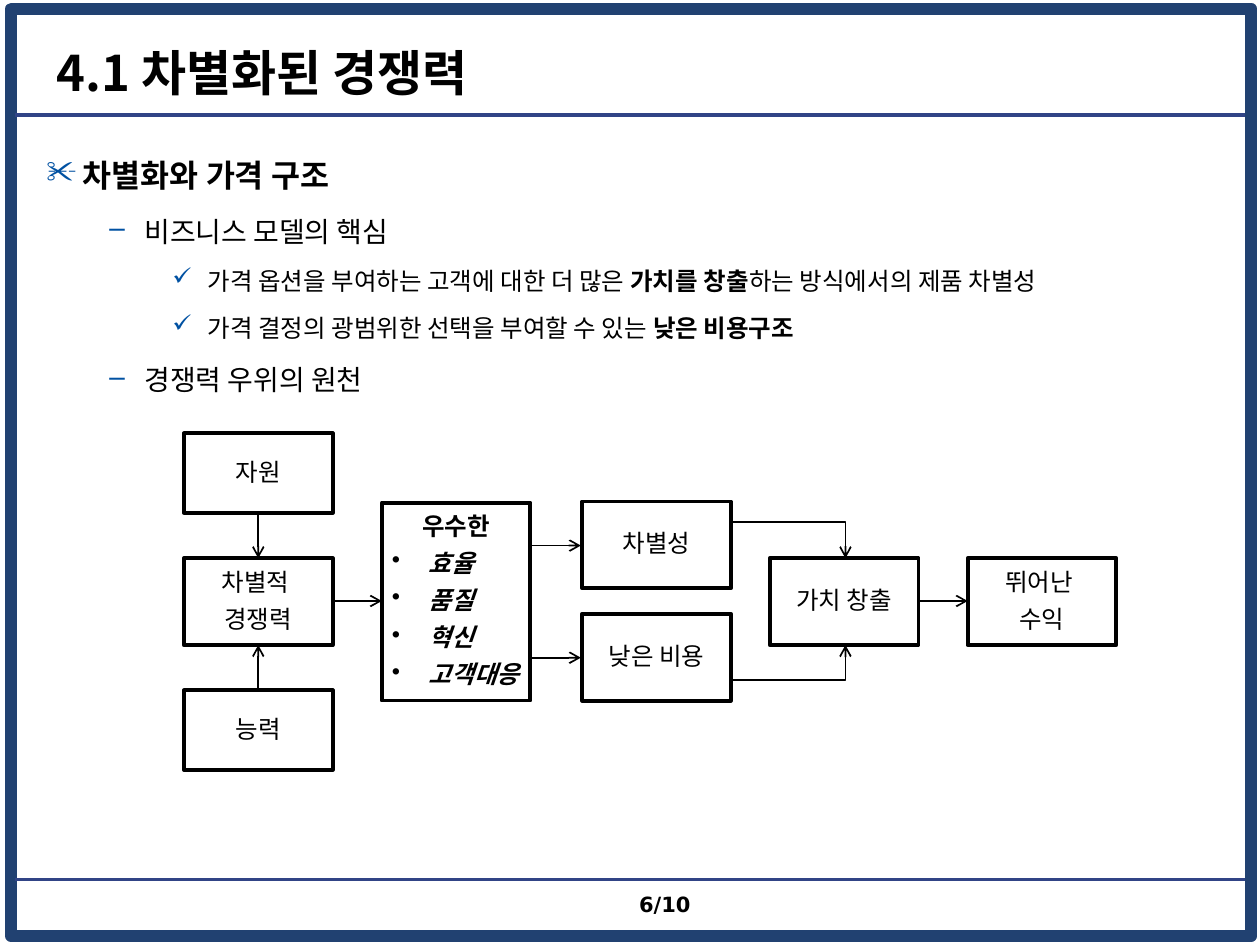
from lxml.etree import SubElement
from pptx import Presentation
from pptx.dml.color import RGBColor
from pptx.enum.shapes import MSO_CONNECTOR as Connector, MSO_SHAPE as Shape
from pptx.enum.text import MSO_ANCHOR as Anchor, PP_ALIGN as Align
from pptx.oxml.ns import qn
from pptx.util import Inches, Pt

BOX_WIDTH, LOW, HIGH, MIDDLE = 1.18, 0.63, 0.69, 4.77
COLUMNS = {"source": 1.46, "superior": 3.03, "strategy": 4.62, "value": 6.11, "profit": 7.68}
BOXES = [
    ("source", 3.44, LOW, ["자원"]),
    ("source", 4.43, HIGH, ["차별적 ", "경쟁력"]),
    ("source", 5.48, LOW, ["능력"]),
    ("strategy", 3.98, HIGH, ["차별성"]),
    ("strategy", 4.87, HIGH, ["낮은 비용"]),
    ("value", 4.43, HIGH, ["가치 창출"]),
    ("profit", 4.43, HIGH, ["뛰어난 ", "수익"]),
]
ARROWS = [
    (2.05, 4.06, 2.05, 4.43),
    (2.05, 5.48, 2.05, 5.12),
    (2.64, MIDDLE, 3.03, MIDDLE),
    (4.21, 4.33, 4.61, 4.33),
    (4.21, 5.22, 4.61, 5.22),
    (7.28, MIDDLE, 7.68, MIDDLE),
]
BENT_ARROWS = [(5.8, 4.14, 6.71, 4.43), (5.8, 5.4, 6.71, 5.12)]
LEVELS = [("✂", 0.29, 0.29, 18, 4.5), ("–", 0.78, 0.28, 16, 4), ("✓", 1.28, 0.28, 14, 3.5)]
OUTLINE = [
    (0, [("차별화와 가격 구조", True)]),
    (1, [("비즈니스 모델의 핵심", False)]),
    (2, [("가격 옵션을 부여하는 고객에 대한 더 많은 ", False), ("가치를 창출", True),
         ("하는 방식에서의 제품 차별성", False)]),
    (2, [("가격 결정의 광범위한 선택을 부여할 수 있는 ", False), ("낮은 비용구조", True)]),
    (1, [("경쟁력 우위의 원천", False)]),
]


def color(value):
    return RGBColor.from_string(value)


class SlideBuilder:
    """Holds the style and the current slide and draws each kind of element."""

    ink, paper, frame_color, rule_color, accent = "000000", "FFFFFF", "214171", "314486", "0051A2"
    korean, body_font, number_font = "Noto Sans CJK KR", "Cabin", "DejaVu Sans"

    def __init__(self, slide):
        self.slide = slide

    def format_run(self, run, size, font, bold=False, italic=False):
        run.font.name, run.font.size = font, Pt(size)
        run.font.bold, run.font.italic = bold, italic
        run.font.color.rgb = color(self.ink)
        SubElement(run.font._element, qn("a:ea")).set("typeface", self.korean)

    def bullet(self, paragraph, character, margin, hanging, bullet_color):
        properties = paragraph._p.get_or_add_pPr()
        properties.set("marL", str(Inches(margin)))
        properties.set("indent", str(-Inches(hanging)))
        holder = SubElement(properties, qn("a:buClr"))
        SubElement(holder, qn("a:srgbClr")).set("val", bullet_color)
        SubElement(properties, qn("a:buChar")).set("char", character)

    def frame(self, left, top, width, height, line_color, line_width):
        shape = self.slide.shapes.add_shape(
            Shape.RECTANGLE, Inches(left), Inches(top), Inches(width), Inches(height))
        shape.shadow.inherit = False
        shape.fill.background()
        shape.line.color.rgb = color(line_color)
        shape.line.width = Pt(line_width)
        return shape

    def line(self, points, line_color, width, kind=Connector.STRAIGHT):
        connector = self.slide.shapes.add_connector(kind, *map(Inches, points))
        connector.line.color.rgb = color(line_color)
        connector.line.width = Pt(width)
        SubElement(connector._element.spPr, qn("a:effectLst"))
        return connector

    def arrow(self, points, bent=False):
        kind = Connector.ELBOW if bent else Connector.STRAIGHT
        connector = self.line(points, self.ink, 1, kind)
        if bent:
            connector._element.spPr.find(qn("a:prstGeom")).set("prst", "bentConnector2")
        SubElement(connector.line._get_or_add_ln(), qn("a:tailEnd")).set("type", "arrow")

    def text(self, left, top, width, height, wrap=True):
        shape = self.slide.shapes.add_textbox(
            Inches(left), Inches(top), Inches(width), Inches(height))
        shape.text_frame.word_wrap = wrap
        return shape.text_frame

    def label(self, bounds, words, size, font, align=Align.LEFT, wrap=True):
        text_frame = self.text(*bounds, wrap=wrap)
        text_frame.text = words
        text_frame.vertical_anchor = Anchor.MIDDLE
        paragraph = text_frame.paragraphs[0]
        paragraph.alignment = align
        self.format_run(paragraph.runs[0], size, font, bold=True)

    def outline(self, bounds, items):
        text_frame = self.text(*bounds)
        for index, (level, parts) in enumerate(items):
            paragraph = text_frame.add_paragraph() if index else text_frame.paragraphs[0]
            character, margin, hanging, size, before = LEVELS[level]
            self.bullet(paragraph, character, margin, hanging, self.accent)
            paragraph.level = level
            paragraph.line_spacing = 1.4
            paragraph.space_before = Pt(before if index else 0)
            for words, bold in parts:
                run = paragraph.add_run()
                run.text = words
                self.format_run(run, size, self.body_font, bold)

    def box(self, column, top, height, lines, bulleted=False):
        shape = self.frame(COLUMNS[column], top, BOX_WIDTH, height, self.ink, 2.25)
        shape.fill.solid()
        shape.fill.fore_color.rgb = color(self.paper)
        text_frame = shape.text_frame
        text_frame.word_wrap = True
        text_frame.vertical_anchor = Anchor.MIDDLE
        text_frame.margin_left = text_frame.margin_right = Inches(0.08)
        text_frame.margin_top = text_frame.margin_bottom = Inches(0.08)
        text_frame.text = "\n".join(lines)
        for index, paragraph in enumerate(text_frame.paragraphs):
            item = bulleted and index > 0
            if item:
                self.bullet(paragraph, "•", 0.25, 0.25, self.ink)
            paragraph.alignment = Align.LEFT if item else Align.CENTER
            paragraph.line_spacing = 0.9
            paragraph.space_after = Pt(6.1)
            self.format_run(paragraph.runs[0], 14, self.korean, bulleted, item)


def main():
    presentation = Presentation()
    presentation.slide_width, presentation.slide_height = Inches(10), Inches(7.5)
    builder = SlideBuilder(presentation.slides.add_slide(presentation.slide_layouts[6]))

    builder.frame(0.09, 0.07, 9.84, 7.36, builder.frame_color, 7)
    for height in (0.91, 6.98):
        builder.line((0.12, height, 9.88, height), builder.rule_color, 2.25)
    builder.label((4.27, 7.01, 1.31, 0.33), "6/10", 12, builder.number_font, Align.RIGHT, False)
    builder.label((0.35, 0.3, 9.45, 0.54), "4.1 차별화된 경쟁력", 28, builder.korean)
    builder.outline((0.27, 1.07, 9.53, 5.67), OUTLINE)

    for box in BOXES:
        builder.box(*box)
    builder.box("superior", 3.99, 1.57, ["우수한", " 효율", " 품질", " 혁신", " 고객대응"], True)
    for points in ARROWS:
        builder.arrow(points)
    for points in BENT_ARROWS:
        builder.arrow(points, bent=True)

    presentation.save("out.pptx")


if __name__ == "__main__":
    main()
